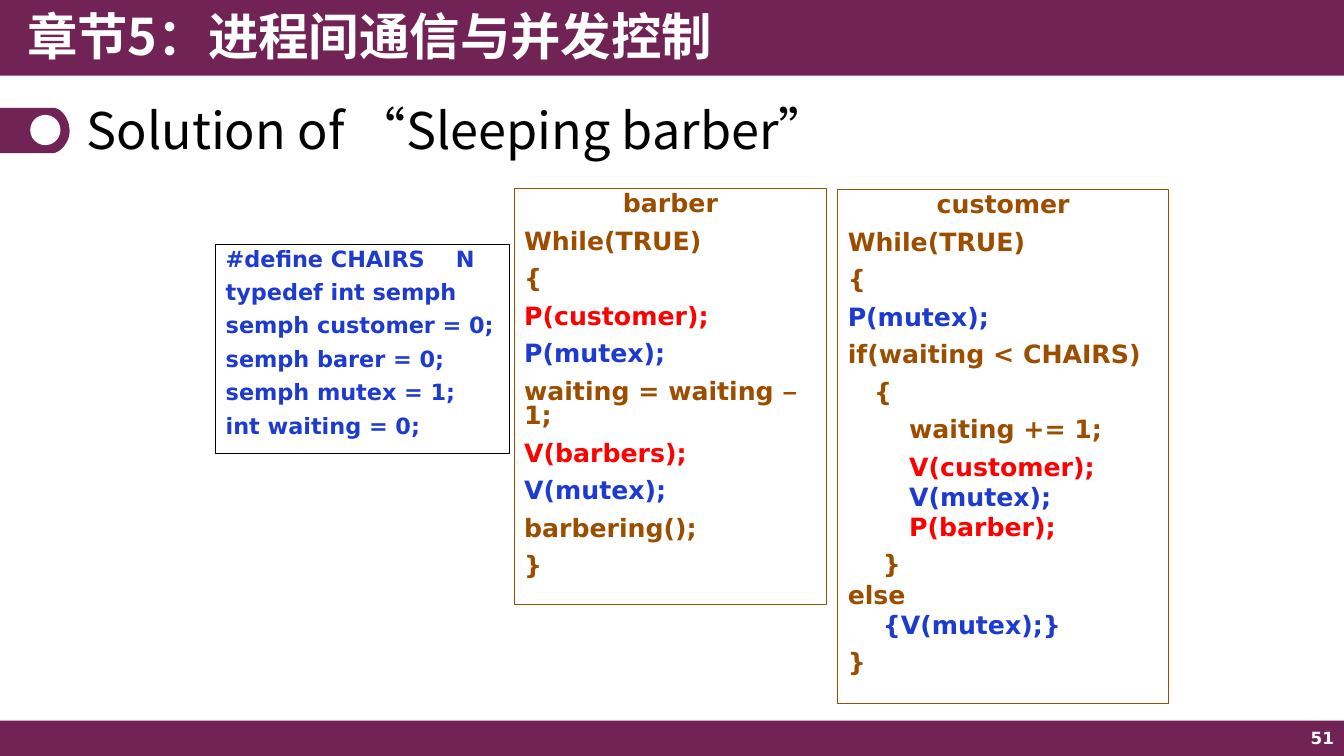
from dataclasses import dataclass
from lxml.etree import SubElement
from pptx import Presentation
from pptx.dml.color import RGBColor
from pptx.enum.shapes import MSO_SHAPE
from pptx.enum.text import MSO_ANCHOR, PP_ALIGN
from pptx.oxml.ns import qn
from pptx.util import Inches, Pt

HUES = {"plum": "712355", "white": "FFFFFF", "black": "000000",
        "brown": "9C4E00", "blue": "1D3BCE", "red": "FF0000"}
CODE = "DejaVu Sans"
HAN = "Noto Sans CJK SC"


@dataclass
class Run:
    text: str
    hue: str = "brown"
    font: str = CODE


@dataclass
class Line:
    runs: list[Run]
    tight: bool = False
    mid: bool = False


@dataclass
class Panel:
    box: tuple
    size: int
    edge: str
    fill: str
    lines: list[Line]


def tint(name: str) -> RGBColor:
    return RGBColor.from_string(HUES[name])


def put(para, run: Run, size: int, bold: bool = True) -> None:
    part = para.add_run()
    part.text = run.text
    font = part.font
    font.size, font.bold, font.name = Pt(size), bold, run.font
    font.color.rgb = tint(run.hue)
    if run.font == HAN:
        SubElement(part._r.get_or_add_rPr(), qn("a:ea"), typeface=HAN)


def paint(shape, fill: str, edge: str = "") -> None:
    shape.shadow.inherit = False
    if fill:
        shape.fill.solid()
        shape.fill.fore_color.rgb = tint(fill)
    else:
        shape.fill.background()
    if edge:
        shape.line.color.rgb = tint(edge)
        shape.line.width = Pt(0.75)
    else:
        shape.line.fill.background()


def block(shapes, kind, box: tuple, fill: str, edge: str = ""):
    shape = shapes.add_shape(kind, *map(Inches, box))
    paint(shape, fill, edge)
    return shape


def curve(ends: list, steps: int = 16) -> list:
    spots = []
    for n in range(1, steps + 1):
        t = n / steps
        parts = ((1 - t) ** 3, 3 * t * (1 - t) ** 2, 3 * t * t * (1 - t), t ** 3)
        spots.append(tuple(Inches(sum(w * p[i] for w, p in zip(parts, ends)))
                           for i in (0, 1)))
    return spots


def badge(shapes) -> None:
    form = shapes.build_freeform(0, Inches(1.07))
    upper = [(0.53, 1.07), (0.6, 1.07), (0.69, 1.17), (0.69, 1.3)]
    lower = [(0.69, 1.3), (0.69, 1.42), (0.59, 1.52), (0.52, 1.52)]
    form.add_line_segments(
        [(Inches(0.53), Inches(1.07)), *curve(upper), *curve(lower),
         (0, Inches(1.52))], close=True)
    paint(form.convert_to_shape(), "plum")
    block(shapes, MSO_SHAPE.OVAL, (0.3, 1.14, 0.3, 0.3), "white")


def label(shapes, box: tuple, run: Run, size: int, align, anchor) -> None:
    frame = shapes.add_textbox(*map(Inches, box)).text_frame
    frame.word_wrap = True
    frame.vertical_anchor = anchor
    frame.paragraphs[0].alignment = align
    put(frame.paragraphs[0], run, size)


def draw(shapes, panel: Panel) -> None:
    shape = block(shapes, MSO_SHAPE.RECTANGLE, panel.box, panel.fill, panel.edge)
    frame = shape.text_frame
    frame.word_wrap = True
    frame.vertical_anchor = MSO_ANCHOR.TOP
    for n, line in enumerate(panel.lines):
        para = frame.add_paragraph() if n else frame.paragraphs[0]
        para.alignment = PP_ALIGN.CENTER if line.mid else PP_ALIGN.LEFT
        para.line_spacing = 0.8
        if n:
            share = 0.235 if line.tight else 0.53
            para.space_before = Pt(round(panel.size * share, 1))
        for run in line.runs:
            put(para, run, panel.size)


def row(text: str, hue: str = "brown", tight: bool = False,
        mid: bool = False) -> Line:
    return Line([Run(text, hue)], tight, mid)


SETUP = ["#define CHAIRS    N", "typedef int semph", "semph customer = 0;",
         "semph barer = 0;", "semph mutex = 1;", "int waiting = 0;"]
BARBER = [
    row("barber", mid=True), row("While(TRUE)"), row("{"),
    row("P(customer);", "red"), row("P(mutex);", "blue"),
    Line([Run("waiting = waiting "), Run("–", font="Arial"), Run(" 1;")]),
    row("V(barbers);", "red"), row("V(mutex);", "blue"),
    row("barbering();"), row("}")]
CLIENT = [
    row("customer", mid=True), row("While(TRUE)"), row("{"),
    row("P(mutex);", "blue"), row("if(waiting < CHAIRS)"), row("   {"),
    row("       waiting += 1;"), row("       V(customer);", "red"),
    row("       V(mutex);", "blue", True), row("       P(barber);", "red", True),
    row("    }"), row("else", tight=True),
    row("    {V(mutex);}", "blue", True), row("}")]
PANELS = [
    Panel((2.14, 2.43, 2.91, 2.07), 16, "black", "white",
          [row(text, "blue") for text in SETUP]),
    Panel((5.1, 1.87, 3.1, 4.13), 18, "brown", "", BARBER),
    Panel((8.31, 1.88, 3.28, 5.1), 18, "brown", "", CLIENT)]


def main() -> None:
    deck = Presentation()
    deck.slide_width, deck.slide_height = Inches(13.33), Inches(7.5)
    shapes = deck.slides.add_slide(deck.slide_layouts[5]).shapes
    for top, high in ((7.15, 0.35), (0, 0.75)):
        block(shapes, MSO_SHAPE.RECTANGLE, (0, top, 13.33, high), "plum")
    badge(shapes)
    label(shapes, (0.17, 0, 7.44, 0.77), Run("章节5：进程间通信与并发控制", "white", HAN),
          36, PP_ALIGN.LEFT, MSO_ANCHOR.TOP)
    label(shapes, (10.33, 7.14, 3, 0.36), Run("51", "white"),
          12, PP_ALIGN.RIGHT, MSO_ANCHOR.MIDDLE)
    title = shapes.title
    title.left, title.top = Inches(0.76), Inches(0.95)
    title.width, title.height = Inches(11.81), Inches(0.74)
    title.text_frame.vertical_anchor = MSO_ANCHOR.MIDDLE
    para = title.text_frame.paragraphs[0]
    para.alignment, para.line_spacing = PP_ALIGN.LEFT, 0.9
    put(para, Run("Solution of “Sleeping barber”", "black", HAN), 36, False)
    for panel in PANELS:
        draw(shapes, panel)
    deck.save("out.pptx")


if __name__ == "__main__":
    main()
